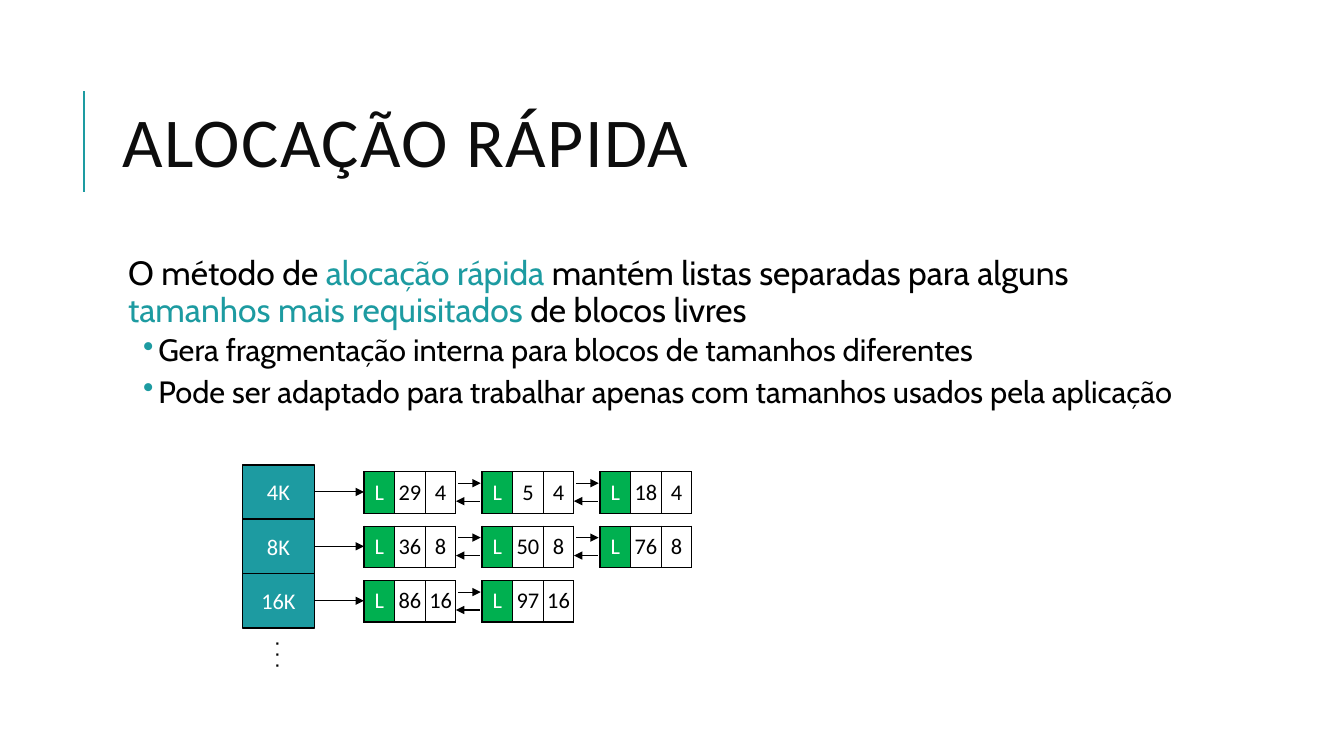
from dataclasses import dataclass
from pptx import Presentation, util as u
from pptx.dml.color import RGBColor
from pptx.enum import shapes, text
from pptx.oxml import parse_xml
from pptx.oxml.ns import nsdecls


@dataclass(frozen=True)
class Theme:
    accent: str = "1D9BA1"
    free: str = "00B050"
    ink: str = "000000"
    heading: str = "0D0D0D"
    paper: str = "FFFFFF"
    sans: str = "Calibri"
    prose: str = "Cabin"
    title: int = 50
    lead: int = 24
    point: int = 22
    label: int = 16
    dots: int = 18


THEME = Theme()
GRID_LEFT, GRID_TOP = 3.61, 4.61
COLUMN, ROW = 1.17, 0.54

LEAD = [
    ("O método de ", THEME.ink),
    ("alocação rápida", THEME.accent),
    (" mantém listas separadas para alguns ", THEME.ink),
    ("tamanhos mais requisitados ", THEME.accent),
    ("de blocos livres", THEME.ink),
]
POINTS = [
    "Gera fragmentação interna para blocos de tamanhos diferentes",
    "Pode ser adaptado para trabalhar apenas com tamanhos usados pela aplicação",
]
FREE_LISTS = [
    ("4K", "4", ["29", "5", "18"]),
    ("8K", "8", ["36", "50", "76"]),
    ("16K", "16", ["86", "97"]),
]


def col(n):
    return u.Inches(GRID_LEFT + n * COLUMN)


def row(n):
    return u.Inches(GRID_TOP + n * ROW)


def style(run, size, font, color):
    run.font.size = u.Pt(size)
    run.font.name = font
    run.font.color.rgb = RGBColor.from_string(color)


def add_line(slide, start, end, color, width, arrow=False):
    line = slide.shapes.add_connector(shapes.MSO_CONNECTOR.STRAIGHT, *start, *end)
    line.line.color.rgb = RGBColor.from_string(color)
    line.line.width = u.Pt(width)
    if arrow:
        line.line._get_or_add_ln().append(
            parse_xml(f'<a:tailEnd {nsdecls("a")} type="triangle"/>'))
    line._element.spPr.append(parse_xml(f'<a:effectLst {nsdecls("a")}/>'))
    return line


def add_text_frame(slide, left, top, width, height):
    box = slide.shapes.add_textbox(*map(u.Inches, (left, top, width, height)))
    box.text_frame.word_wrap = True
    return box, box.text_frame


def add_title(slide, words):
    _, frame = add_text_frame(slide, 1.12, 0.64, 10.63, 1.64)
    frame.vertical_anchor = text.MSO_ANCHOR.MIDDLE
    frame.text = words
    heading = frame.paragraphs[0]
    heading.line_spacing = 0.8
    style(heading.runs[0], THEME.title, THEME.sans, THEME.heading)
    heading.runs[0]._r.get_or_add_rPr().set("spc", "100")


def space(paragraph, before, after, margin, indent=0):
    paragraph.line_spacing = 0.9
    paragraph.space_before, paragraph.space_after = u.Pt(before), u.Pt(after)
    props = paragraph._p.get_or_add_pPr()
    props.set("marL", str(u.Inches(margin)))
    props.set("indent", str(u.Inches(indent)))
    return props


def add_body(slide):
    _, frame = add_text_frame(slide, 1.12, 2.5, 10.63, 4.4)
    frame.margin_left = frame.margin_right = u.Inches(0.05)
    frame.margin_top = frame.margin_bottom = u.Inches(0.05)
    lead = frame.paragraphs[0]
    space(lead, 12, 2, 0.1)
    for words, color in LEAD:
        part = lead.add_run()
        part.text = words
        style(part, THEME.lead, THEME.prose, color)
    for words in POINTS:
        point = frame.add_paragraph()
        point.text = words
        point.level = 1
        style(point.runs[0], THEME.point, THEME.prose, THEME.ink)
        props = space(point, 2, 4, 0.4, -0.15)
        props.append(parse_xml(
            f'<a:buClr {nsdecls("a")}><a:srgbClr val="{THEME.accent}"/></a:buClr>'))
        props.append(parse_xml(f'<a:buChar {nsdecls("a")} char="•"/>'))


def add_size(slide, n, label):
    size = slide.shapes.add_shape(
        shapes.MSO_SHAPE.RECTANGLE, col(-1.03), row(n), u.Inches(0.61 * COLUMN), u.Inches(ROW))
    size.shadow.inherit = False
    size.fill.solid()
    size.fill.fore_color.rgb = RGBColor.from_string(THEME.accent)
    size.line.color.rgb = RGBColor.from_string(THEME.ink)
    size.line.width = u.Pt(1.25)
    size.text_frame.text = label
    size.text_frame.vertical_anchor = text.MSO_ANCHOR.MIDDLE
    caption = size.text_frame.paragraphs[0]
    caption.alignment = text.PP_ALIGN.CENTER
    style(caption.runs[0], THEME.label, THEME.sans, THEME.paper)
    return size


def fill_cell(cell, words, color, fill=None):
    cell.margin_left = cell.margin_right = cell.margin_top = cell.margin_bottom = 0
    cell.vertical_anchor = text.MSO_ANCHOR.MIDDLE
    cell.text_frame.text = words
    entry = cell.text_frame.paragraphs[0]
    entry.alignment = text.PP_ALIGN.CENTER
    style(entry.runs[0], THEME.label, THEME.sans, color)
    for side in "LRTB":
        cell._tc.get_or_add_tcPr().append(parse_xml(
            f'<a:ln{side} {nsdecls("a")} w="{u.Pt(1)}"><a:solidFill>'
            f'<a:srgbClr val="{THEME.ink}"/></a:solidFill></a:ln{side}>'))
    if fill:
        cell.fill.solid()
        cell.fill.fore_color.rgb = RGBColor.from_string(fill)
    else:
        cell.fill.background()


def add_block(slide, n, position, start, length):
    block = slide.shapes.add_table(
        1, 3, col(position), row(n + 0.13), u.Inches(0.78 * COLUMN), u.Inches(0.76 * ROW)).table
    block.first_row = block.horz_banding = False
    fill_cell(block.cell(0, 0), "L", THEME.paper, THEME.free)
    fill_cell(block.cell(0, 1), start, THEME.ink)
    fill_cell(block.cell(0, 2), length, THEME.ink)


def add_free_list(slide, n, label, length, starts):
    size = add_size(slide, n, label)
    pointer = add_line(slide, (col(-0.42), row(n + 0.5)), (col(0), row(n + 0.5)),
                       THEME.ink, 0.75, True)
    pointer.begin_connect(size, 3)
    for position, start in enumerate(starts):
        add_block(slide, n, position, start, length)
        if position:
            forward, back = row(n + 0.34), row(n + 0.67)
            add_line(slide, (col(position - 0.2), forward), (col(position - 0.01), forward),
                     THEME.ink, 0.75, True)
            add_line(slide, (col(position - 0.02), back), (col(position - 0.22), back),
                     THEME.ink, 0.75, True)


def add_continuation(slide):
    box, frame = add_text_frame(slide, 2.53, 6.38, 0.62, 0.4)
    box.rotation = 90
    frame.text = ". . ."
    style(frame.paragraphs[0].runs[0], THEME.dots, THEME.prose, THEME.ink)


def main():
    deck = Presentation()
    deck.slide_width, deck.slide_height = u.Inches(13.33), u.Inches(7.5)
    slide = deck.slides.add_slide(deck.slide_layouts[6])
    rule = u.Inches(0.83)
    add_line(slide, (rule, u.Inches(1.9)), (rule, u.Inches(0.9)), THEME.accent, 1.5)
    add_title(slide, "ALOCAÇÃO RÁPIDA")
    add_body(slide)
    for n, free_list in enumerate(FREE_LISTS):
        add_free_list(slide, n, *free_list)
    add_continuation(slide)
    deck.save("out.pptx")


if __name__ == "__main__":
    main()
